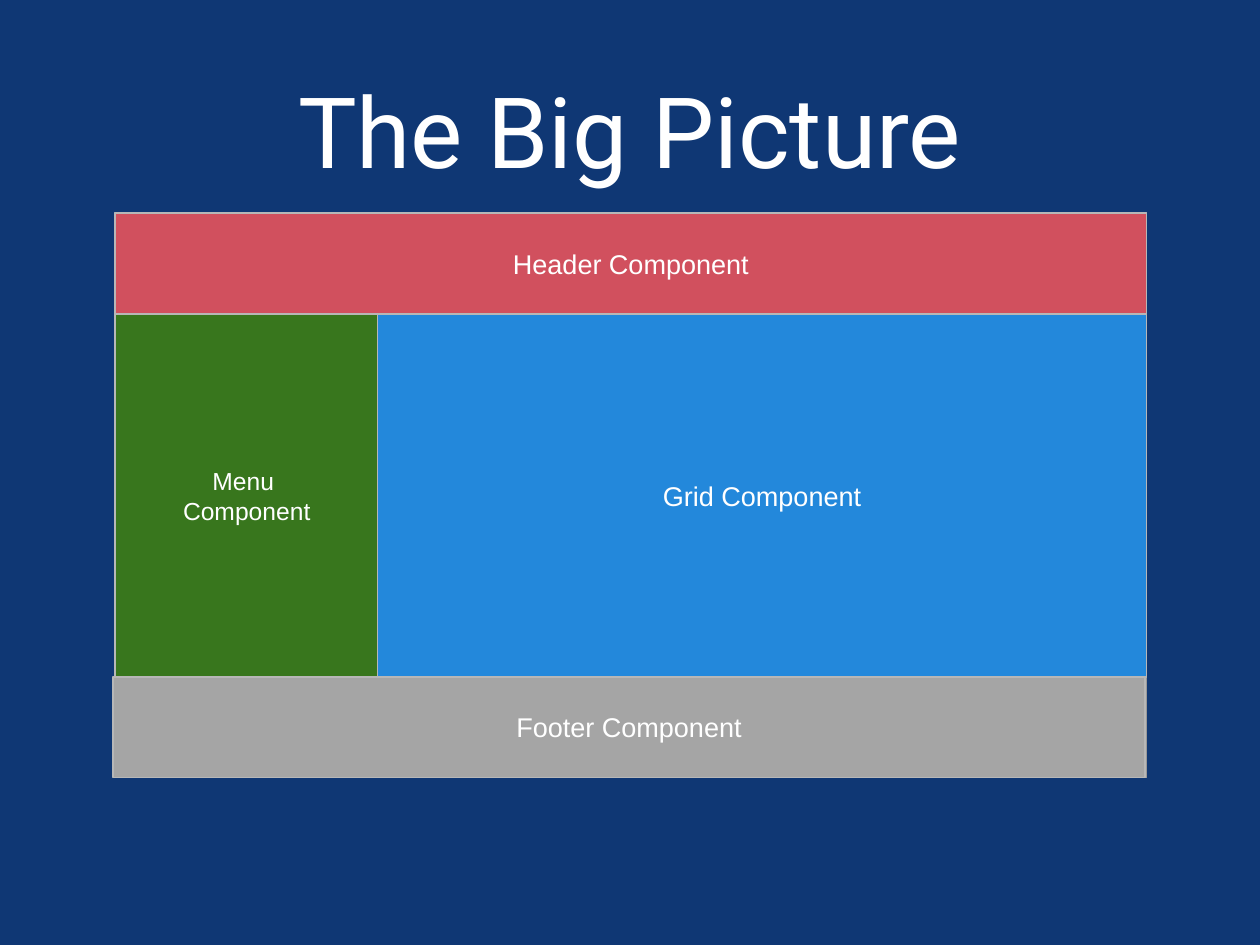
from pptx import Presentation
from pptx.dml.color import RGBColor
from pptx.enum.shapes import MSO_SHAPE
from pptx.enum.text import MSO_ANCHOR, PP_ALIGN
from pptx.util import Inches, Pt

LEFT, TOP, WIDTH = 1.3, 2.41, 11.64
BAND_HEIGHT, BODY_HEIGHT = 1.14, 4.09
MENU_WIDTH = 2.97
GRID_LEFT = 4.26
FOOTER_LEFT = 1.28
BODY_TOP = TOP + BAND_HEIGHT
FOOTER_TOP = BODY_TOP + BODY_HEIGHT


def paint(color_format, color):
    color_format.rgb = RGBColor.from_string(color)


def add_text(slide, text, left, top, width, height, size=22, font="Arial",
             color="FFFFFF", inset=0.1):
    label = slide.shapes.add_textbox(
        Inches(left), Inches(top), Inches(width), Inches(height))
    frame = label.text_frame
    frame.word_wrap = True
    frame.vertical_anchor = MSO_ANCHOR.MIDDLE
    frame.margin_left = frame.margin_right = Inches(inset)
    frame.margin_top = frame.margin_bottom = Inches(inset)
    frame.text = text
    for paragraph in frame.paragraphs:
        paragraph.alignment = PP_ALIGN.CENTER
        for run in paragraph.runs:
            run.font.size = Pt(size)
            run.font.name = font
            paint(run.font.color, color)


def add_panel(slide, left, top, width, height, fill, line="B7B7B7"):
    panel = slide.shapes.add_shape(
        MSO_SHAPE.RECTANGLE,
        Inches(left), Inches(top), Inches(width), Inches(height))
    panel.shadow.inherit = False
    panel.fill.solid()
    paint(panel.fill.fore_color, fill)
    paint(panel.line.color, line)
    panel.line.width = Pt(1.5)


def add_component(slide, text, left, top, width, height, fill,
                  label_height=0.91, size=22):
    add_panel(slide, left, top, width, height, fill)
    label_top = top + (height - label_height) / 2
    add_text(slide, text, left, label_top, width, label_height, size=size)


def main():
    presentation = Presentation()
    presentation.slide_width = Inches(14.22)
    presentation.slide_height = Inches(10.67)
    slide = presentation.slides.add_slide(presentation.slide_layouts[6])
    slide.background.fill.solid()
    paint(slide.background.fill.fore_color, "0F3774")

    add_text(slide, "The Big Picture", 1.04, 0.28, 12.14, 2.36,
             size=80, font="Roboto", inset=0.06)
    add_panel(slide, LEFT, TOP, WIDTH, 2 * BAND_HEIGHT + BODY_HEIGHT,
              "EFEFEF", line="999999")
    add_component(slide, "Header Component", LEFT, TOP, WIDTH, BAND_HEIGHT,
                  "D1505E")
    add_component(slide, "Menu \nComponent", LEFT, BODY_TOP, MENU_WIDTH,
                  BODY_HEIGHT, "38761D", label_height=1.36, size=20)
    add_component(slide, "Footer Component", FOOTER_LEFT, FOOTER_TOP, WIDTH,
                  BAND_HEIGHT, "A5A5A5")
    add_component(slide, "Grid Component", GRID_LEFT, BODY_TOP,
                  LEFT + WIDTH - GRID_LEFT, BODY_HEIGHT, "2388DB")

    presentation.save("out.pptx")


if __name__ == "__main__":
    main()
